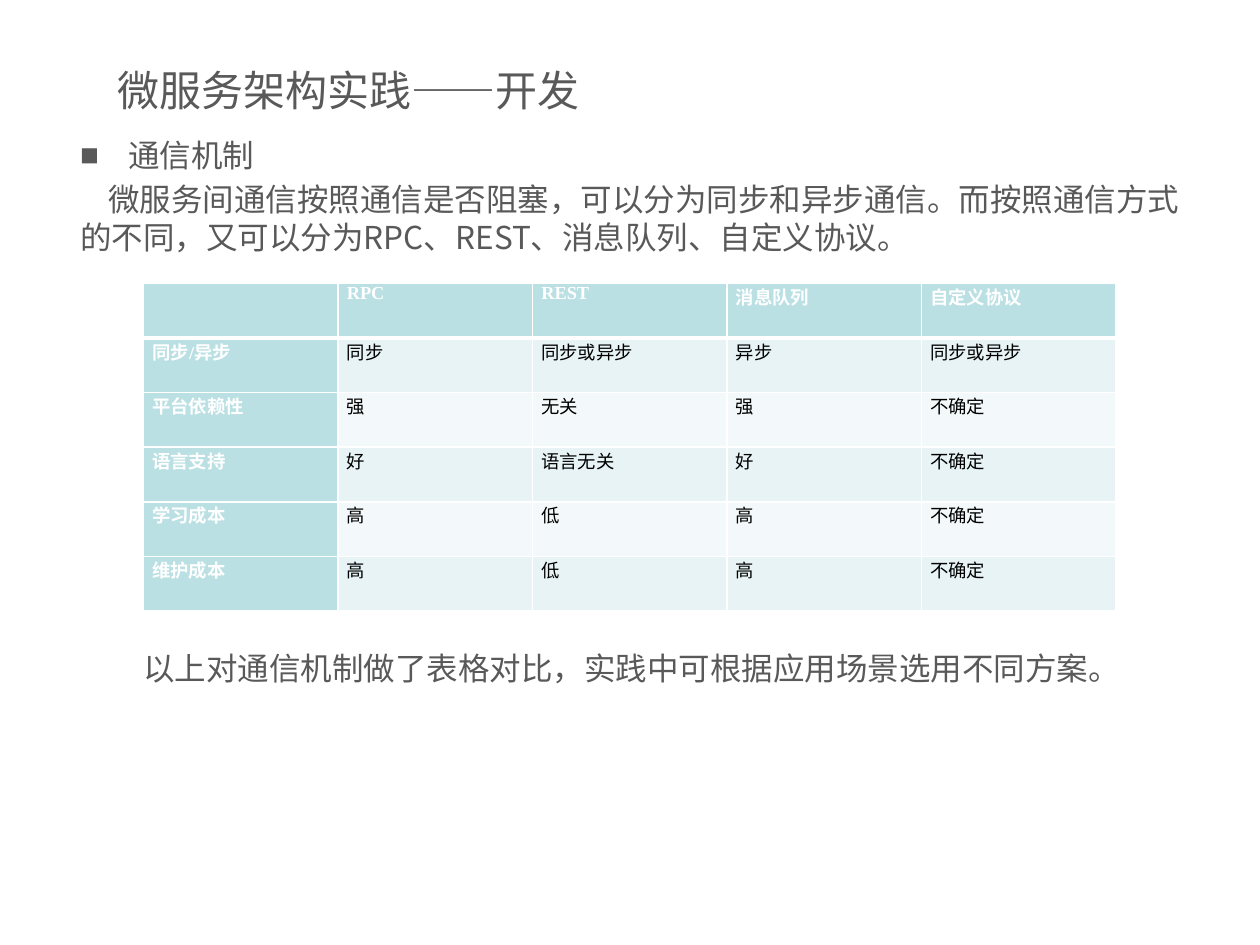
from lxml import etree
from pptx import Presentation
from pptx import util as u
from pptx.dml.color import RGBColor
from pptx.enum import text
from pptx.oxml.ns import qn

SANS, SERIF = "Noto Sans CJK SC", "Times New Roman"
GREY, WHITE, BLACK = "595959", "FFFFFF", "000000"
HEAD, BANDS = "BBE0E3", ("E7F3F4", "F3F9FA")

TITLE = "微服务架构实践——开发"
TOPIC = "通信机制"
INTRO = ("微服务间通信按照通信是否阻塞，可以分为同步和异步通信。"
         "而按照通信方式的不同，又可以分为RPC、REST、消息队列、自定义协议。")
CLOSE = "以上对通信机制做了表格对比，实践中可根据应用场景选用不同方案。"
ROWS = [
    ("", "RPC", "REST", "消息队列", "自定义协议"),
    ("同步/异步", "同步", "同步或异步", "异步", "同步或异步"),
    ("平台依赖性", "强", "无关", "强", "不确定"),
    ("语言支持", "好", "语言无关", "好", "不确定"),
    ("学习成本", "高", "低", "高", "不确定"),
    ("维护成本", "高", "低", "高", "不确定"),
]


def paint(hue):
    return RGBColor.from_string(hue)


def node(parent, tag, **attrs):
    return etree.SubElement(parent, qn(tag), attrs)


def write(para, words, size, hue, face=SANS, bold=False):
    run = para.add_run()
    run.text = words
    font = run.font
    font.size, font.bold, font.name = u.Pt(size), bold, face
    font.color.rgb = paint(hue)
    node(font._element, "a:ea", typeface=SANS)


def indent(para, left, first):
    props = para._p.get_or_add_pPr()
    props.set("marL", str(u.Inches(left)))
    props.set("indent", str(u.Inches(first)))
    return props


def add_box(slide, *place):
    frame = slide.shapes.add_textbox(*map(u.Inches, place)).text_frame
    frame.word_wrap = True
    return frame


def add_line(para, words):
    para.line_spacing = u.Pt(21.7)
    write(para, words, 18, GREY)


def edge(cell, side, width):
    line = node(cell._tc.get_or_add_tcPr(), "a:ln" + side, w=str(u.Pt(width)))
    node(node(line, "a:solidFill"), "a:srgbClr", val=WHITE)


def fill_cell(cell, words, row, col):
    top = row == 0
    head = top or col == 0
    cell.margin_left = cell.margin_right = u.Inches(0.07)
    cell.margin_top = cell.margin_bottom = 0
    for side in "LRTB":
        thick = (top and side == "B") or (row == 1 and side == "T")
        edge(cell, side, 3 if thick else 1)
    cell.fill.solid()
    cell.fill.fore_color.rgb = paint(HEAD if head else BANDS[(row - 1) % 2])
    if words:
        para = cell.text_frame.paragraphs[0]
        para.alignment = text.PP_ALIGN.JUSTIFY
        write(para, words, 10.5, WHITE if head else BLACK, SERIF, head)


def add_grid(slide, left, top, width, height):
    place = map(u.Inches, (left, top, width, height))
    table = slide.shapes.add_table(len(ROWS), len(ROWS[0]), *place).table
    for row, line in enumerate(ROWS):
        for col, words in enumerate(line):
            fill_cell(table.cell(row, col), words, row, col)


def main():
    deck = Presentation()
    deck.slide_width, deck.slide_height = u.Inches(10), u.Inches(7.5)
    slide = deck.slides.add_slide(deck.slide_layouts[5])

    title = slide.shapes.title
    title.left, title.top, title.width, title.height = map(
        u.Inches, (0.83, 0.42, 8.42, 0.58))
    title.text_frame.vertical_anchor = text.MSO_ANCHOR.MIDDLE
    para = title.text_frame.paragraphs[0]
    para.alignment = text.PP_ALIGN.LEFT
    write(para, TITLE, 24, GREY)

    body = add_box(slide, 0.54, 1.03, 8.92, 1.1)
    topic = body.paragraphs[0]
    add_line(topic, TOPIC)
    props = indent(topic, 0.38, -0.38)
    node(props, "a:buSzPct", val="60000")
    node(props, "a:buFont", typeface=SANS)
    node(props, "a:buChar", char="■")
    intro = body.add_paragraph()
    intro.space_before = u.Pt(3.6)
    add_line(intro, INTRO)
    indent(intro, 0, 0.22)

    add_grid(slide, 1.14, 2.25, 7.72, 2.6)
    add_line(add_box(slide, 1.04, 5.1, 8.42, 0.5).paragraphs[0], CLOSE)
    deck.save("out.pptx")


if __name__ == "__main__":
    main()
